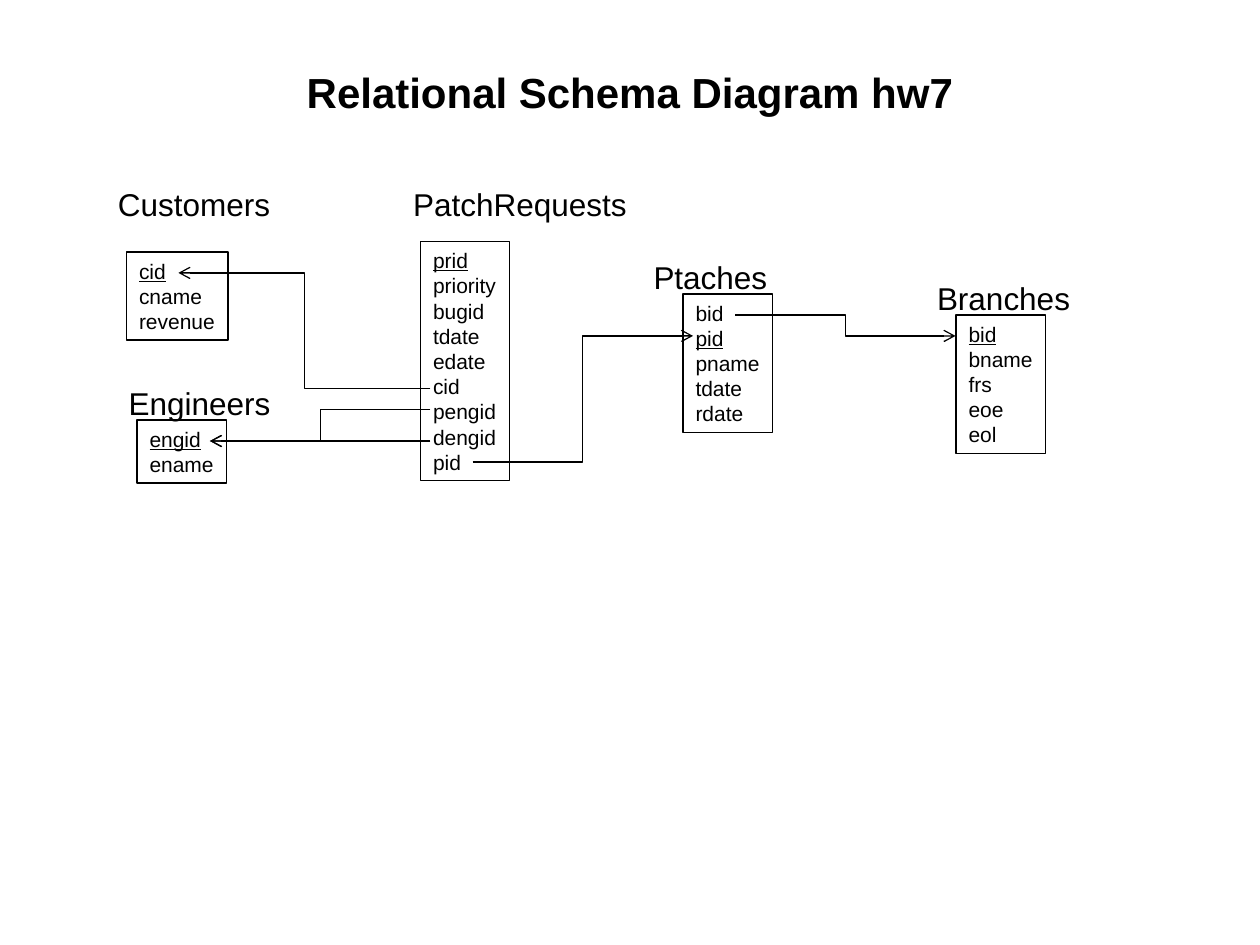
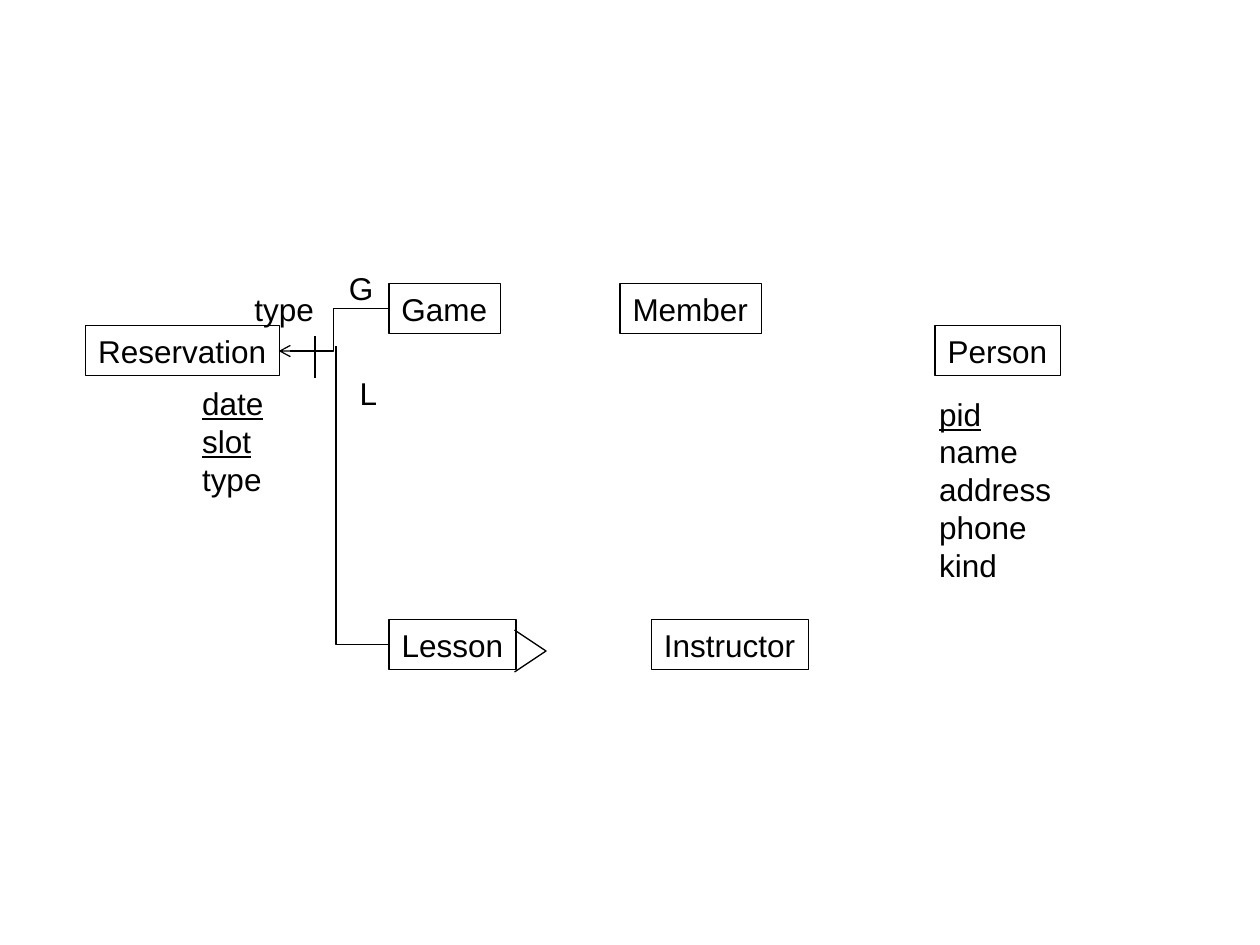
"""Build two slides: a relational schema diagram and an entity diagram."""
from lxml import etree
from pptx import Presentation
from pptx import util as u
from pptx.dml.color import RGBColor
from pptx.enum import shapes, text
from pptx.oxml import ns

BLACK = RGBColor(0, 0, 0)
FONT = "Arial"
COLUMNS = 120
BOX_SHIFT = 0.06
HEADING, FIELD = 18, 12
LINE_WIDTH = u.Pt(0.75)
ELBOW = shapes.MSO_CONNECTOR.ELBOW
STRAIGHT = shapes.MSO_CONNECTOR.STRAIGHT

deck = Presentation()
deck.slide_width = u.Inches(10)
deck.slide_height = u.Inches(7.5)
CELL = deck.slide_width // COLUMNS
schema_page, entity_page = [deck.slides.add_slide(deck.slide_layouts[6]) for _ in range(2)]


def add_text(page, left, top, width, words, size=HEADING, framed=False):
    lines = words.split()
    height = 1.2 + len(lines) * size * 0.2
    place = [int(length * CELL) for length in (left + BOX_SHIFT, top, width, height)]
    if framed:
        box = page.shapes.add_shape(shapes.MSO_SHAPE.RECTANGLE, *place)
        box.shadow.inherit = False
        box.fill.background()
        box.line.color.rgb = BLACK
        box.line.width = LINE_WIDTH
    else:
        box = page.shapes.add_textbox(*place)
    frame = box.text_frame
    frame.word_wrap = False
    frame.auto_size = text.MSO_AUTO_SIZE.SHAPE_TO_FIT_TEXT
    frame.vertical_anchor = text.MSO_ANCHOR.TOP
    for number, line in enumerate(lines):
        para = frame.add_paragraph() if number else frame.paragraphs[0]
        para.alignment = text.PP_ALIGN.LEFT
        span = para.add_run()
        span.text = line.lstrip("_")
        span.font.name = FONT
        span.font.size = u.Pt(size)
        span.font.color.rgb = BLACK
        span.font.underline = line.startswith("_")


def add_line(page, kind, start, end, arrow=False):
    line = page.shapes.add_connector(kind, *[int(length * CELL) for length in start + end])
    line.line.color.rgb = BLACK
    line.line.width = LINE_WIDTH
    if arrow:
        etree.SubElement(line.line._get_or_add_ln(), ns.qn("a:tailEnd"), type="arrow")
    etree.SubElement(line._element.spPr, ns.qn("a:effectLst"))
    return line


title = schema_page.shapes.add_textbox(
    6 * CELL, int(3.6 * CELL), 108 * CELL, 15 * CELL)
title.text_frame.word_wrap = True
title.text_frame.vertical_anchor = text.MSO_ANCHOR.MIDDLE
title.text_frame.margin_bottom = u.Inches(0.44)
title_para = title.text_frame.paragraphs[0]
title_para.alignment = text.PP_ALIGN.CENTER
title_span = title_para.add_run()
title_span.text = "Relational Schema Diagram hw7"
title_span.font.name = FONT
title_span.font.size = u.Pt(24)
title_span.font.bold = True
title_span.font.color.rgb = BLACK

relations = [
    ("Customers", (10, 17, 17), (12, 24, 9.65), "_cid cname revenue"),
    ("PatchRequests", (38.1, 17, 22.9), (40, 23, 8.45),
     "_prid priority bugid tdate edate cid pengid dengid pid"),
    ("Engineers", (11, 36, 16), (13, 40, 8.5), "_engid ename"),
    ("Ptaches", (61, 24, 13.3), (65, 28, 8.5), "bid _pid pname tdate rdate"),
    ("Branches", (88, 26, 15.2), (91, 30, 8.5), "_bid bname frs eoe eol"),
]
for name, name_place, field_place, fields in relations:
    add_text(schema_page, *name_place, name)
    add_text(schema_page, *field_place, fields, FIELD, framed=True)

foreign_keys = [
    (ELBOW, (41, 37), (17, 26)),
    (ELBOW, (41, 39), (20, 42)),
    (STRAIGHT, (41, 42), (20, 42)),
    (ELBOW, (45, 44), (66, 32)),
    (ELBOW, (70, 30), (91, 32)),
]
for kind, start, end in foreign_keys:
    add_line(schema_page, kind, start, end, arrow=True)

entities = [
    ("Reservation", 8.1, 31, 18.45),
    ("Game", 37, 27, 10.6),
    ("Lesson", 37, 59, 12.1),
    ("Member", 59, 27, 13.45),
    ("Instructor", 62, 59, 14.95),
    ("Person", 89, 31, 11.95),
]
for name, left, top, width in entities:
    add_text(entity_page, left, top, width, name, framed=True)

labels = [
    ("_date _slot type", 18, 36, 8.3),
    ("type", 23, 27, 8.2),
    ("G", 32, 25, 4.8),
    ("L", 33, 35, 4.2),
    ("_pid name address phone kind", 88.2, 37, 13.2),
]
for words, left, top, width in labels:
    add_text(entity_page, left, top, width, words)

add_line(entity_page, ELBOW, (37, 29.4), (26.55, 33.43), arrow=True)
lesson_branch = add_line(entity_page, ELBOW, (37, 61.4), (32, 33))
lesson_branch._element.spPr.find(ns.qn("a:prstGeom")).set("prst", "bentConnector2")
add_line(entity_page, STRAIGHT, (30, 32), (30, 36))

outline = entity_page.shapes.build_freeform(49, 60, scale=CELL)
outline.add_line_segments([(52, 62), (49, 64)], close=False)
lesson_fork = outline.convert_to_shape()
lesson_fork.shadow.inherit = False
lesson_fork.fill.background()
lesson_fork.line.color.rgb = BLACK
lesson_fork.line.width = LINE_WIDTH

deck.save("out.pptx")
